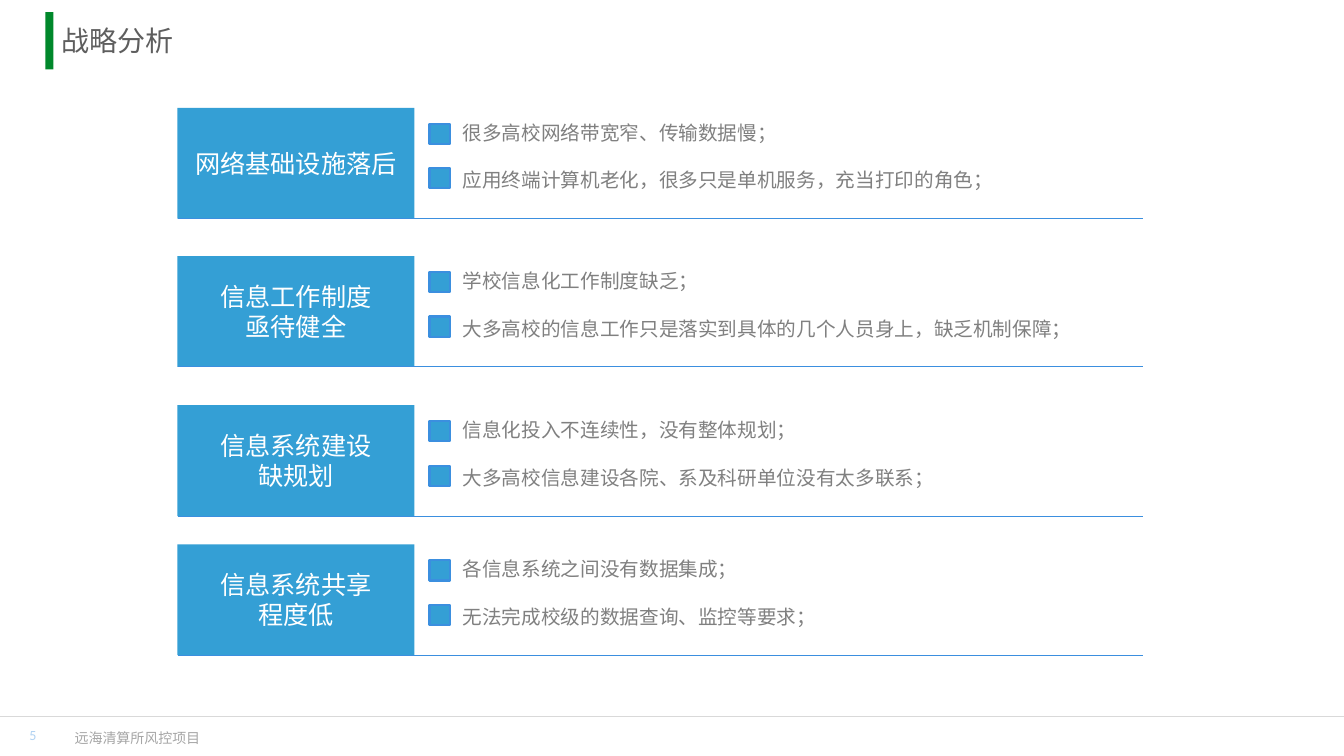
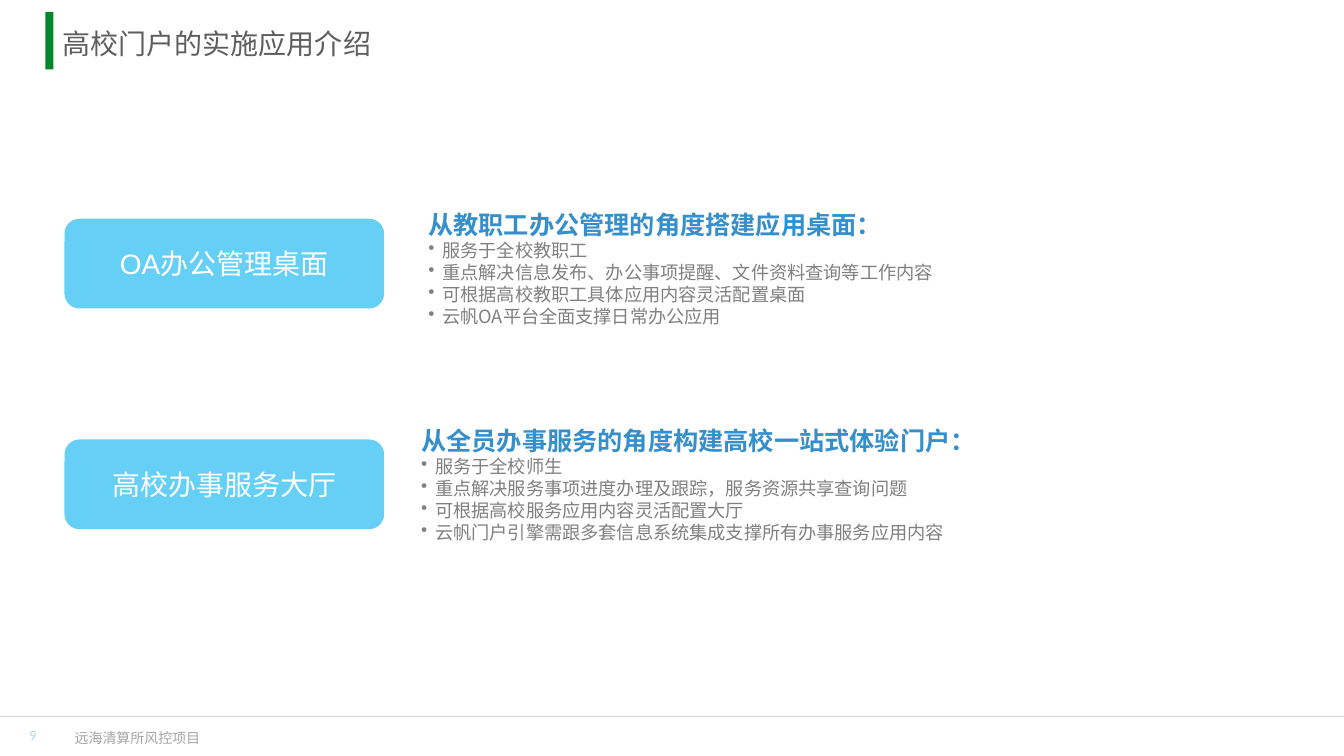
from dataclasses import dataclass

from lxml import etree
from pptx import Presentation
from pptx.dml.color import RGBColor
from pptx.enum.shapes import MSO_CONNECTOR, MSO_SHAPE
from pptx.enum.text import MSO_ANCHOR, MSO_AUTO_SIZE, PP_ALIGN
from pptx.oxml.ns import qn
from pptx.util import Inches, Pt

RECT, ROUND = MSO_SHAPE.RECTANGLE, MSO_SHAPE.ROUNDED_RECTANGLE
STRAIGHT = MSO_CONNECTOR.STRAIGHT
LEFT, CENTER = PP_ALIGN.LEFT, PP_ALIGN.CENTER
TOP, MIDDLE = MSO_ANCHOR.TOP, MSO_ANCHOR.MIDDLE
FIXED = MSO_AUTO_SIZE.NONE


@dataclass(frozen=True)
class Style:
    font: str
    size: int
    color: str
    bold: bool = False


class Theme:
    width, height = 13.33, 7.5
    east = "Noto Sans CJK SC"
    leading = 1.2
    white, green, rule = "FFFFFF", "00882B", "D9D9D9"
    blue, edge, sky = "349FD5", "3B8FDF", "00B0F0"
    title = Style(east, 20, "5E5E5E")
    label = Style(east, 18, white)
    point = Style(east, 14, "808080")
    head = Style("Lato", 18, "358FCB", True)
    item = Style(east, 13, "808080")
    button = Style("Arial", 20, white)
    footer = Style(east, 10, "A6A6A6")
    page = Style("Calibri", 10, "B1D2F2")


FOOTER = "远海清算所风控项目"

# Top edge, label, points
ROWS = [
    (1.07, ["网络基础设施落后"],
     ["很多高校网络带宽窄、传输数据慢；",
      "应用终端计算机老化，很多只是单机服务，充当打印的角色；"]),
    (2.54, ["信息工作制度", "亟待健全"],
     ["学校信息化工作制度缺乏；",
      "大多高校的信息工作只是落实到具体的几个人员身上，缺乏机制保障；"]),
    (4.02, ["信息系统建设", "缺规划"],
     ["信息化投入不连续性，没有整体规划；",
      "大多高校信息建设各院、系及科研单位没有太多联系；"]),
    (5.4, ["信息系统共享", "程度低"],
     ["各信息系统之间没有数据集成；",
      "无法完成校级的数据查询、监控等要求；"]),
]

# Top edge, text offset, button, heading, items
DESKS = [
    (2.17, (3.51, -0.14), "OA办公管理桌面",
     "从教职工办公管理的角度搭建应用桌面：",
     ["服务于全校教职工",
      "重点解决信息发布、办公事项提醒、文件资料查询等工作内容",
      "可根据高校教职工具体应用内容灵活配置桌面",
      "云帆OA平台全面支撑日常办公应用"]),
    (4.36, (3.44, -0.19), "高校办事服务大厅",
     "从全员办事服务的角度构建高校一站式体验门户：",
     ["服务于全校师生",
      "重点解决服务事项进度办理及跟踪，服务资源共享查询问题",
      "可根据高校服务应用内容灵活配置大厅",
      "云帆门户引擎需跟多套信息系统集成支撑所有办事服务应用内容"]),
]


def rgb(color):
    return RGBColor.from_string(color)


def inches(*values):
    return [Inches(v) for v in values]


def format_para(para, style, align=LEFT):
    para.alignment = align
    para.line_spacing = Pt(round(style.size * Theme.leading, 1))
    font = para.font
    font.name, font.size, font.bold = style.font, Pt(style.size), style.bold
    font.color.rgb = rgb(style.color)
    props = para._p.get_or_add_pPr().find(qn("a:defRPr"))
    etree.SubElement(props, qn("a:ea")).set("typeface", Theme.east)


def add_bullet(para, indent=0.14):
    props = para._p.get_or_add_pPr()
    props.set("marL", str(Inches(indent)))
    props.set("indent", str(-Inches(indent)))
    mark = etree.Element(qn("a:buChar"))
    mark.set("char", "•")
    props.find(qn("a:defRPr")).addprevious(mark)


def write(frame, lines, style, align=LEFT, anchor=TOP, inset=None):
    frame.word_wrap, frame.auto_size = True, FIXED
    frame.vertical_anchor = anchor
    if inset is not None:
        frame.margin_left = frame.margin_right = Inches(inset)
        frame.margin_top = frame.margin_bottom = Inches(inset)
    for i, line in enumerate(lines):
        para = frame.add_paragraph() if i else frame.paragraphs[0]
        para.text = line
        format_para(para, style, align)


def add_text(slide, box, lines, style, **options):
    shape = slide.shapes.add_textbox(*inches(*box))
    write(shape.text_frame, lines, style, **options)
    return shape.text_frame


def add_box(slide, box, fill, kind=RECT, edge=None, alpha=None):
    shape = slide.shapes.add_shape(kind, *inches(*box))
    shape.shadow.inherit = False
    shape.fill.solid()
    shape.fill.fore_color.rgb = rgb(fill)
    if alpha:
        color = shape._element.spPr.find(".//" + qn("a:srgbClr"))
        etree.SubElement(color, qn("a:alpha")).set("val", str(alpha * 1000))
    if edge:
        shape.line.color.rgb = rgb(edge)
        shape.line.width = Pt(1.5)
    else:
        shape.line.fill.background()
    return shape


def add_rule(slide, left, right, y, color, weight):
    line = slide.shapes.add_connector(STRAIGHT, *inches(left, y, right, y))
    line.line.color.rgb = rgb(color)
    line.line.width = Pt(weight)
    etree.SubElement(line._element.spPr, qn("a:effectLst"))


def add_footer(slide, page, top=7.11):
    add_box(slide, (0, top, Theme.width, Theme.height - top), Theme.white)
    add_rule(slide, 0, Theme.width, top, Theme.rule, 0.25)
    add_text(slide, (0.69, top + 0.08, 3.62, 0.27), [FOOTER], Theme.footer,
             inset=0.05)
    add_text(slide, (0.08, top + 0.04, 0.49, 0.28), [page], Theme.page,
             align=CENTER, anchor=MIDDLE, inset=0.06)


def start_slide(deck, title, page, left, top):
    slide = deck.slides.add_slide(deck.slide_layouts[5])
    add_footer(slide, page)
    add_box(slide, (0.45, 0.12, 0.08, 0.57), Theme.green)
    head = slide.shapes.title
    head.left, head.top, head.width, head.height = inches(left, top, 12, 0.44)
    write(head.text_frame, [title], Theme.title)
    return slide


def add_row(slide, left, top, label, points):
    # Label block on its baseline
    block = add_box(slide, (left, top, 2.35, 1.1), Theme.blue)
    write(block.text_frame, label, Theme.label, align=CENTER, anchor=MIDDLE)
    add_rule(slide, left + 0.01, left + 9.58, top + 1.1, Theme.edge, 0.79)
    # Points with square markers
    for i, point in enumerate(points):
        add_box(slide, (left + 2.5, top + 0.16 + 0.44 * i, 0.2, 0.2),
                Theme.blue, edge=Theme.edge)
        add_text(slide, (left + 2.73, top + 0.08 + 0.47 * i, 6.58, 0.34),
                 [point], Theme.point)


def add_desk(slide, left, top, shift, name, head, items):
    # Heading and bullets
    dx, dy = shift
    frame = add_text(slide, (left + dx, top + dy, 8, 1.28), [head], Theme.head)
    for item in items:
        para = frame.add_paragraph()
        para.text = item
        format_para(para, Theme.item)
        add_bullet(para)
    # Button
    button = add_box(slide, (left, top, 3.17, 0.89), Theme.sky, ROUND, alpha=60)
    write(button.text_frame, [name], Theme.button, align=CENTER, anchor=MIDDLE)


def build_strategy(deck):
    slide = start_slide(deck, "战略分析", "5", 0.51, 0.18)
    for row in ROWS:
        add_row(slide, 1.76, *row)


def build_portal(deck):
    slide = start_slide(deck, "高校门户的实施应用介绍", "9", 0.52, 0.21)
    for desk in DESKS:
        add_desk(slide, 0.64, *desk)


def main():
    deck = Presentation()
    deck.slide_width, deck.slide_height = inches(Theme.width, Theme.height)
    build_strategy(deck)
    build_portal(deck)
    deck.save("out.pptx")


if __name__ == "__main__":
    main()
